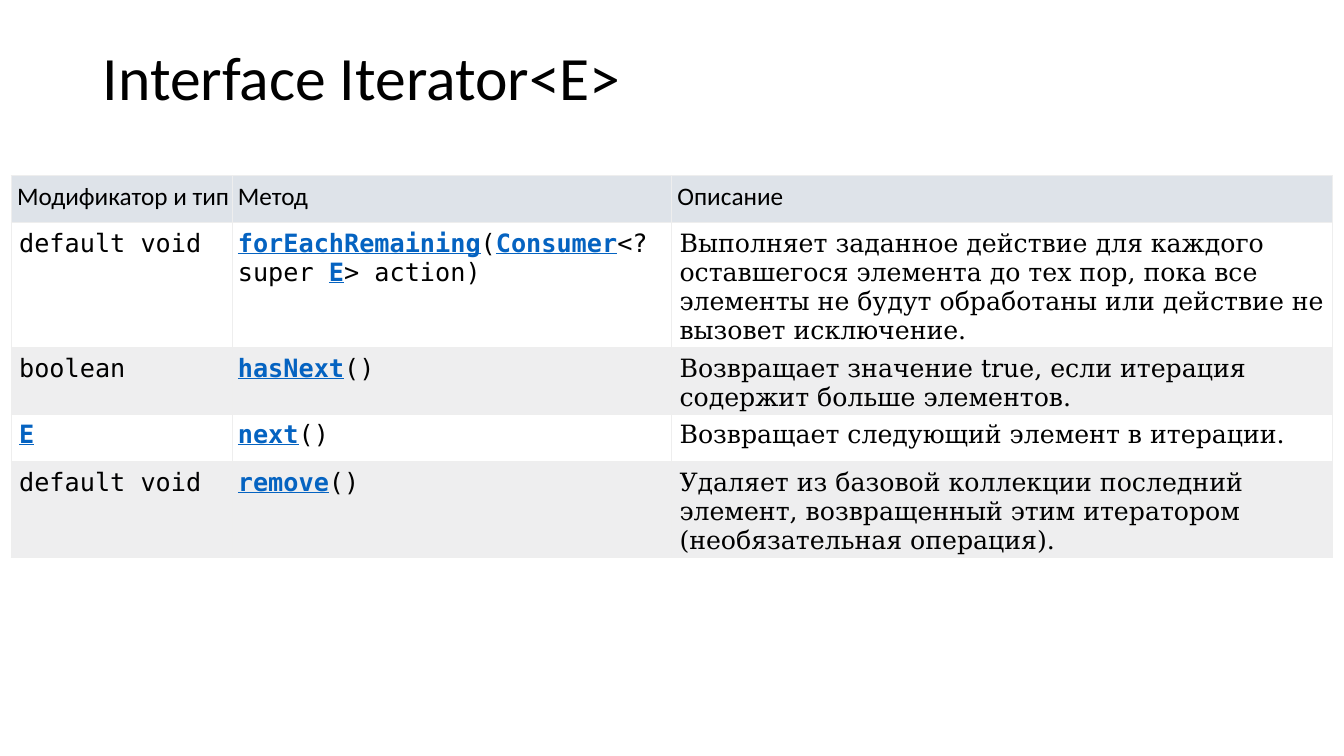
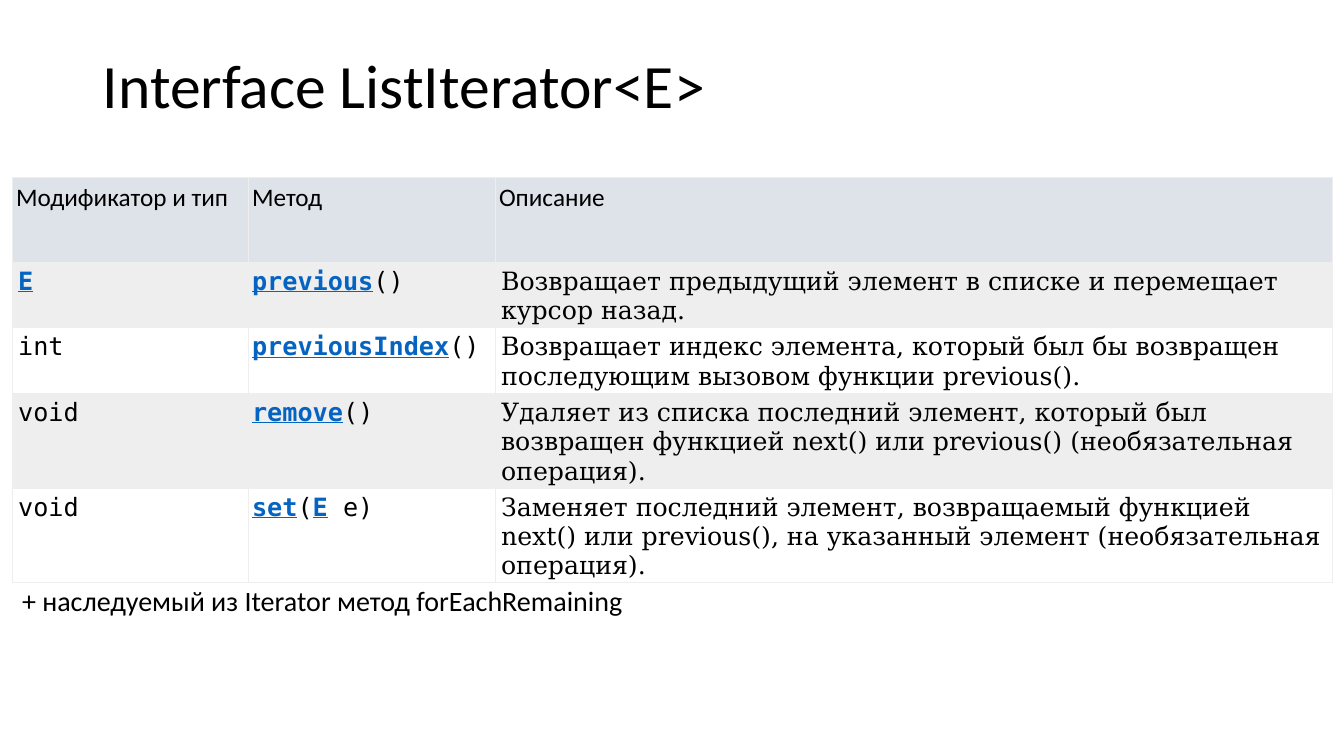
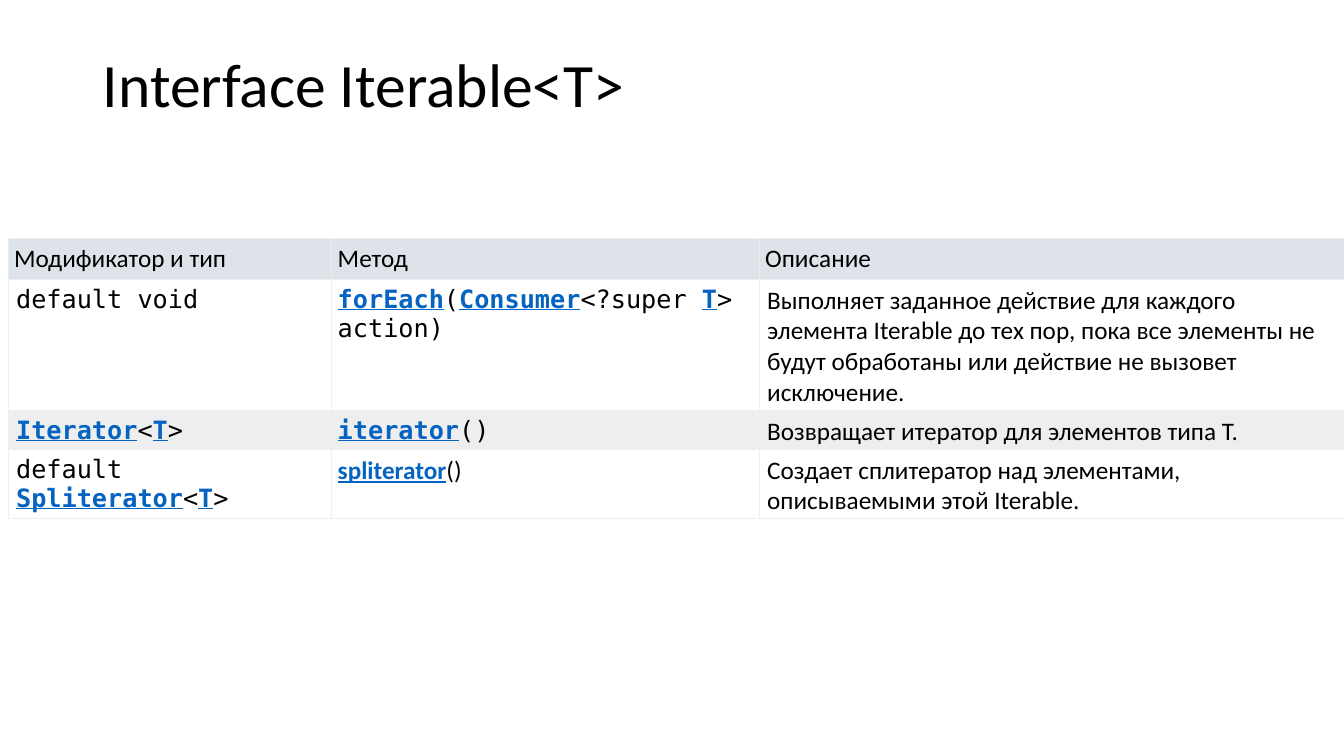
"""Build three slides describing Java iterator interfaces."""
from dataclasses import dataclass

from lxml import etree
from pptx import Presentation
from pptx.dml.color import RGBColor
from pptx.enum.text import MSO_ANCHOR, MSO_AUTO_SIZE, PP_ALIGN
from pptx.oxml.ns import qn
from pptx.util import Inches, Pt

LEFT = PP_ALIGN.LEFT
MIDDLE = MSO_ANCHOR.MIDDLE
NO_FIT = MSO_AUTO_SIZE.NONE
GROW = MSO_AUTO_SIZE.SHAPE_TO_FIT_TEXT

COLORS = {
    "text": "000000",
    "link": "0563C1",
    "header": "DEE3E9",
    "band": "EEEEEF",
    "plain": "FFFFFF",
    "border": "EEEEEE",
}
SANS, MONO, SERIF = "Calibri", "DejaVu Sans Mono", "DejaVu Serif"
HEADINGS = ("Модификатор и тип", "Метод", "Описание")
LINK_FORMAT = {"bold": True, "underline": True}
PLAIN_FORMAT = {"bold": False, "underline": False}
DESCRIPTION_SPACING = {"space_before": Pt(2.2), "space_after": Pt(1.5)}
TITLE_ONLY = 5


@dataclass(frozen=True)
class Method:
    """A table row; asterisks enclose the linked names."""

    height: float
    kind: str
    signature: str
    description: str
    font: str = MONO


@dataclass(frozen=True)
class MethodSlide:
    """A title above a table of methods, with an optional note."""

    title: str
    title_top: float
    left: float
    top: float
    columns: tuple[float, ...]
    header_height: float
    methods: tuple[Method, ...]
    pad: float = 0.06
    pad_top: float = 0.06
    banded_row: int = 0
    font: str = SERIF
    note: str = ""


SLIDES = (
    MethodSlide(
        "Interface Iterator<E>", 0.07, 0.11, 1.74, (2.19, 4.36, 6.56), 0.47,
        (
            Method(1.18, "default void",
                   "*forEachRemaining*(*Consumer*<?super *E*> action)",
                   "Выполняет заданное действие для каждого оставшегося элемента до тех пор, "
                   "пока все элементы не будут обработаны или действие не вызовет исключение."),
            Method(0.47, "boolean", "*hasNext*()",
                   "Возвращает значение true, если итерация содержит больше элементов."),
            Method(0.47, "*E*", "*next*()", "Возвращает следующий элемент в итерации."),
            Method(0.83, "default void", "*remove*()",
                   "Удаляет из базовой коллекции последний элемент, возвращенный этим "
                   "итератором (необязательная операция)."),
        ),
    ),
    MethodSlide(
        "Interface ListIterator<E>", 0.15, 0.12, 1.76, (2.34, 2.45, 8.3), 0.84,
        (
            Method(0.58, "*E*", "*previous*()",
                   "Возвращает предыдущий элемент в списке и перемещает курсор назад."),
            Method(0.58, "int", "*previousIndex*()",
                   "Возвращает индекс элемента, который был бы возвращен последующим "
                   "вызовом функции previous()."),
            Method(0.58, "void", "*remove*()",
                   "Удаляет из списка последний элемент, который был возвращен функцией "
                   "next() или previous() (необязательная операция)."),
            Method(0.84, "void", "*set*(*E* e)",
                   "Заменяет последний элемент, возвращаемый функцией next() или previous(), "
                   "на указанный элемент (необязательная операция)."),
        ),
        pad=0.04, pad_top=0.05, banded_row=1,
        note="+ наследуемый из Iterator метод forEachRemaining",
    ),
    MethodSlide(
        "Interface Iterable<T>", 0.14, 0.08, 2.36, (3.21, 4.24, 5.8), 0.41,
        (
            Method(0.94, "default void", "*forEach*(*Consumer*<?super *T*> action)",
                   "Выполняет заданное действие для каждого элемента Iterable до тех пор, "
                   "пока все элементы не будут обработаны или действие не вызовет исключение."),
            Method(0.37, "*Iterator*<*T*>", "*iterator*()",
                   "Возвращает итератор для элементов типа T."),
            Method(0.66, "default *Spliterator*<*T*>", "*spliterator*()",
                   "Создает сплитератор над элементами, описываемыми этой Iterable.", SANS),
        ),
        font=SANS,
    ),
)


def set_all(target, values: dict) -> None:
    """Set each named attribute of the target."""
    for name, value in values.items():
        setattr(target, name, value)


def write(p, text: str, font: str, size: float) -> None:
    """Write text, styling the parts between asterisks as links."""
    for i, part in enumerate(text.split("*")):
        if part:
            linked = i % 2 == 1
            r = p.add_run()
            r.text = part
            set_all(r.font, {"name": font, "size": Pt(size)})
            set_all(r.font, LINK_FORMAT if linked else PLAIN_FORMAT)
            r.font.color.rgb = RGBColor.from_string(COLORS["link" if linked else "text"])


def add_borders(cell) -> None:
    """Draw a thin line on each side of a cell."""
    tc_pr = cell._tc.get_or_add_tcPr()
    for side in ("a:lnL", "a:lnR", "a:lnT", "a:lnB"):
        line = etree.SubElement(tc_pr, qn(side), w=str(Pt(0.6)))
        fill = etree.SubElement(line, qn("a:solidFill"))
        etree.SubElement(fill, qn("a:srgbClr"), val=COLORS["border"])


def fill_cell(cell, text: str, font: str, color: str, left: float, top: float) -> None:
    """Format a cell and write its text."""
    set_all(cell, {
        "margin_left": Inches(left),
        "margin_top": Inches(top),
        "margin_right": Inches(0.02),
        "margin_bottom": Inches(0.02),
    })
    add_borders(cell)
    cell.fill.solid()
    cell.fill.fore_color.rgb = RGBColor.from_string(COLORS[color])
    write(cell.text_frame.paragraphs[0], text, font, 18)


def add_title(s, text: str, top: float) -> None:
    """Place and format the slide title."""
    title = s.shapes.title
    set_all(title, {"left": Inches(0.92), "top": Inches(top),
                    "width": Inches(11.5), "height": Inches(1.45)})
    tf = title.text_frame
    set_all(tf, {"vertical_anchor": MIDDLE, "word_wrap": True, "auto_size": NO_FIT})
    p = tf.paragraphs[0]
    set_all(p, {"alignment": LEFT, "line_spacing": 0.9})
    write(p, text, SANS, 44)


def add_methods(s, page: MethodSlide) -> None:
    """Add the table of methods."""
    heights = [page.header_height] + [m.height for m in page.methods]
    table = s.shapes.add_table(
        len(heights), len(page.columns), Inches(page.left), Inches(page.top),
        Inches(sum(page.columns)), Inches(sum(heights)),
    ).table
    set_all(table, {"first_row": False, "horz_banding": False})
    for column, width in zip(table.columns, page.columns):
        column.width = Inches(width)
    for row, height in zip(table.rows, heights):
        row.height = Inches(height)
    for j, heading in enumerate(HEADINGS):
        fill_cell(table.cell(0, j), heading, SANS, "header", page.pad, page.pad_top)
    for i, m in enumerate(page.methods, 1):
        color = "band" if i % 2 == page.banded_row else "plain"
        wide = page.pad + 0.02
        entries = ((m.kind, MONO, wide), (m.signature, m.font, page.pad),
                   (m.description, page.font, wide))
        for j, (text, font, left) in enumerate(entries):
            fill_cell(table.cell(i, j), text, font, color, left, page.pad_top)
        set_all(table.cell(i, 2).text_frame.paragraphs[0], DESCRIPTION_SPACING)


def add_note(s, text: str, left: float) -> None:
    """Add a line of text below the table."""
    tf = s.shapes.add_textbox(Inches(left), Inches(5.74), Inches(6.88), Inches(0.44)).text_frame
    set_all(tf, {"word_wrap": True, "auto_size": GROW})
    write(tf.paragraphs[0], text, SANS, 20)


def main() -> None:
    """Build and save the presentation."""
    prs = Presentation()
    set_all(prs, {"slide_width": Inches(13.33), "slide_height": Inches(7.5)})
    for page in SLIDES:
        s = prs.slides.add_slide(prs.slide_layouts[TITLE_ONLY])
        add_title(s, page.title, page.title_top)
        add_methods(s, page)
        if page.note:
            add_note(s, page.note, page.left)
    prs.save("out.pptx")


if __name__ == "__main__":
    main()
